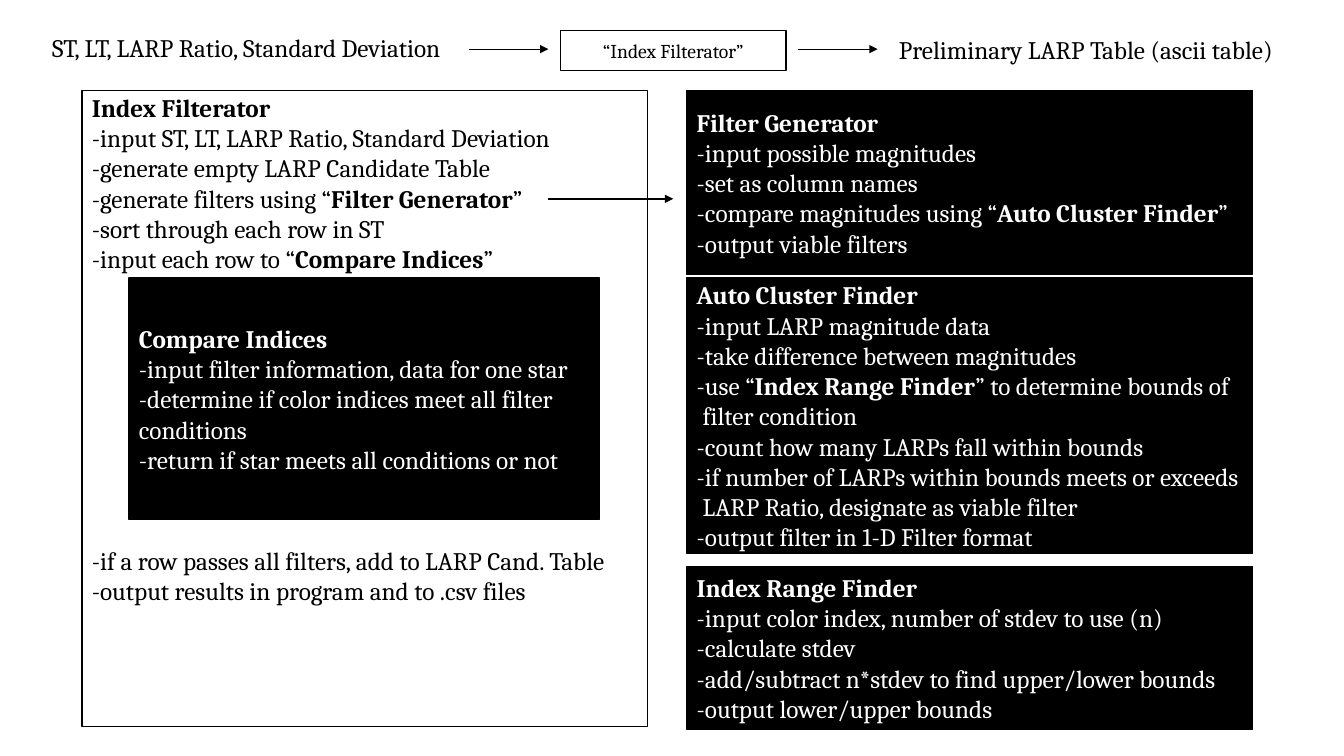
import pptx
import pptx.util
import pptx.dml.color
import pptx.enum.shapes
import pptx.enum.text
import pptx.oxml.ns
import lxml.etree

Pt = pptx.util.Pt
ALIGN = pptx.enum.text.PP_ALIGN
ANCHOR = pptx.enum.text.MSO_ANCHOR
BLACK, WHITE = "000000", "FFFFFF"

presentation = pptx.Presentation()
presentation.slide_width = pptx.util.Inches(13.33)
presentation.slide_height = pptx.util.Inches(7.5)
slide = presentation.slides.add_slide(presentation.slide_layouts[6])
column = presentation.slide_width / 100
row = presentation.slide_height / 100
colour = pptx.dml.color.RGBColor.from_string


def write(shape, lines, text_colour, size=18, frame_format=None, paragraph_format=None):
    frame = shape.text_frame
    frame_values = {"word_wrap": True, "vertical_anchor": ANCHOR.MIDDLE}
    for name, value in (frame_values | (frame_format or {})).items():
        setattr(frame, name, value)
    for number, line in enumerate(lines):
        paragraph = frame.paragraphs[0] if number == 0 else frame.add_paragraph()
        for name, value in ({"alignment": ALIGN.LEFT} | (paragraph_format or {})).items():
            setattr(paragraph, name, value)
        for part, text in enumerate(line.split("|")):
            if text:
                run = paragraph.add_run()
                run.text = text
                run.font.color.rgb = colour(text_colour)
                font_format = {"name": "Cambria", "size": Pt(size), "bold": part % 2 == 1}
                for name, value in font_format.items():
                    setattr(run.font, name, value)


def add_box(left, top, width, height, fill):
    shape = slide.shapes.add_shape(
        pptx.enum.shapes.MSO_SHAPE.RECTANGLE,
        round(left * column), round(top * row), round(width * column), round(height * row))
    shape.shadow.inherit = False
    shape.fill.solid()
    shape.fill.fore_color.rgb = colour(fill)
    shape.line.color.rgb = colour(BLACK)
    shape.line.width = Pt(1)
    return shape


flow_ends = [
    (3.15, 3.6, 32.2, "ST, LT, LARP Ratio, Standard Deviation"),
    (66.15, 3.9, 30.8, "Preliminary LARP Table (ascii table)"),
]
for left, top, width, text in flow_ends:
    label = slide.shapes.add_textbox(
        round(left * column), round(top * row), round(width * column), round(5.3 * row))
    write(label, [text], BLACK, frame_format={"word_wrap": False, "vertical_anchor": ANCHOR.TOP})

write(add_box(41.7, 4, 16.8, 5.3, WHITE), ["“Index Filterator”"], BLACK, 14,
      paragraph_format={"alignment": ALIGN.CENTER})

filterator = add_box(6.1, 12, 42.1, 84.1, WHITE)
write(filterator, [
    "|Index Filterator|",
    "-input ST, LT, LARP Ratio, Standard Deviation",
    "-generate empty LARP Candidate Table",
    "-generate filters using “|Filter Generator|”",
    "-sort through each row in ST",
    "-input each row to “|Compare Indices|”",
    "-if a row passes all filters, add to LARP Cand. Table",
    "-output results in program and to .csv files",
], BLACK, frame_format={"vertical_anchor": ANCHOR.TOP, "margin_top": Pt(1)})
filterator.text_frame.paragraphs[6].space_before = Pt(194)

write(add_box(9.6, 36.8, 35, 31.9, BLACK), [
    "|Compare Indices|",
    "-input filter information, data for one star",
    "-determine if color indices meet all filter conditions",
    "-return if star meets all conditions or not",
], WHITE)

helper_steps = [
    (12, 24.3, [
        "|Filter Generator|",
        "-input possible magnitudes",
        "-set as column names",
        "-compare magnitudes using “|Auto Cluster Finder|”",
        "-output viable filters",
    ]),
    (36.8, 36.4, [
        "|Auto Cluster Finder|",
        "-input LARP magnitude data",
        "-take difference between magnitudes",
        "-use “|Index Range Finder|” to determine bounds of filter condition",
        "-count how many LARPs fall within bounds",
        "-if number of LARPs within bounds meets or exceeds LARP Ratio, designate as viable filter",
        "-output filter in 1-D Filter format",
    ]),
    (74.9, 21.6, [
        "|Index Range Finder|",
        "-input color index, number of stdev to use (n)",
        "-calculate stdev",
        "-add/subtract n*stdev to find upper/lower bounds",
        "-output lower/upper bounds",
    ]),
]
hanging = pptx.util.Inches(0.06)
for top, height, lines in helper_steps:
    shape = add_box(51.1, top, 42.1, height, BLACK)
    write(shape, lines, WHITE)
    for paragraph in shape.text_frame.paragraphs:
        properties = paragraph._p.get_or_add_pPr()
        properties.set("marL", str(hanging))
        properties.set("indent", str(-hanging))

arrows = [(34.9, 40.8, 6.5, 0.5), (59.4, 65.3, 6.5, 0.5), (40.8, 50.1, 26.3, 1.5)]
for start, end, height, weight in arrows:
    arrow = slide.shapes.add_connector(
        pptx.enum.shapes.MSO_CONNECTOR.STRAIGHT,
        round(start * column), round(height * row), round(end * column), round(height * row))
    arrow.line.color.rgb = colour(BLACK)
    arrow.line.width = Pt(weight)
    head = lxml.etree.SubElement(arrow.line._get_or_add_ln(), pptx.oxml.ns.qn("a:tailEnd"))
    head.set("type", "triangle")
    lxml.etree.SubElement(arrow._element.spPr, pptx.oxml.ns.qn("a:effectLst"))

presentation.save("out.pptx")
